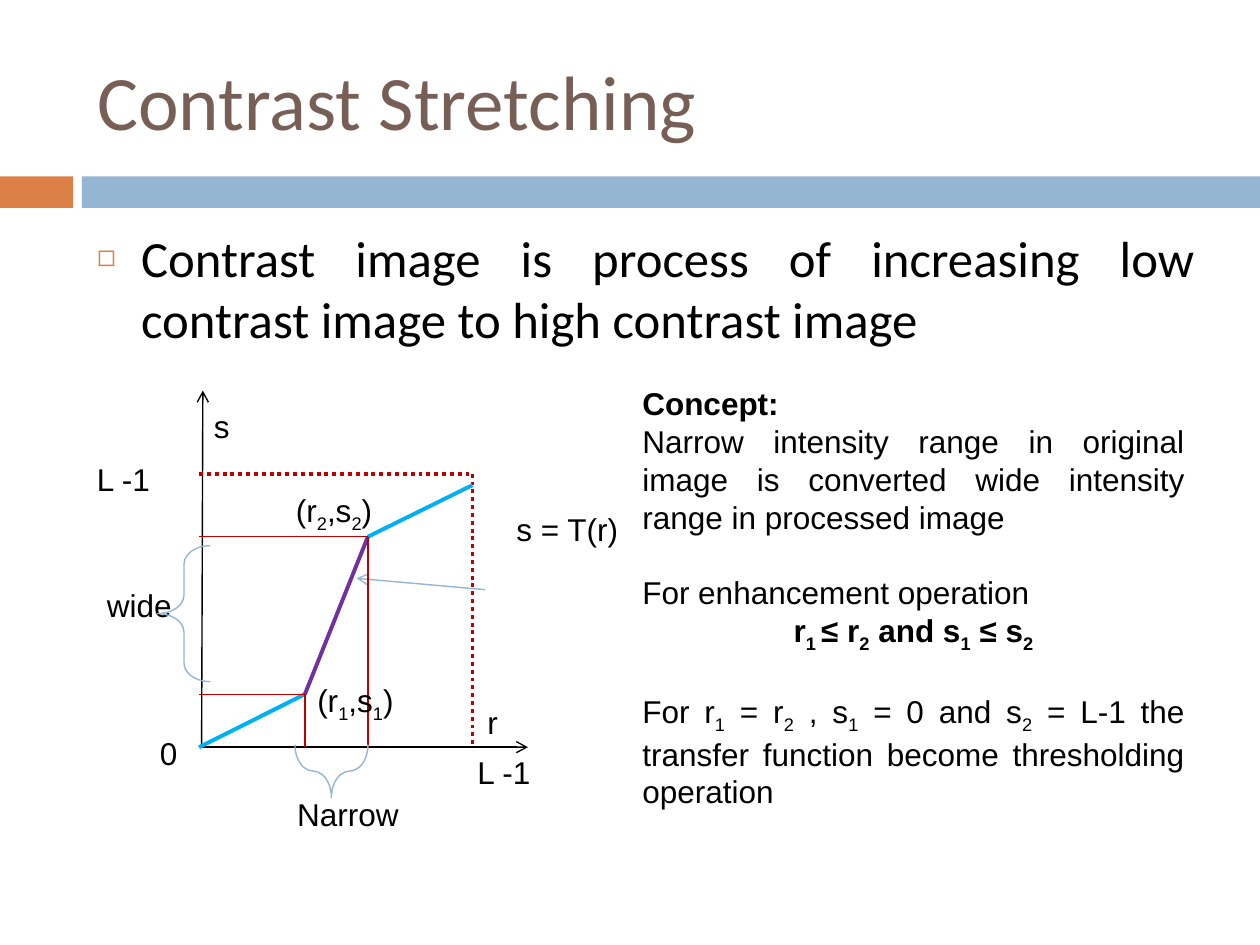
import pptx
import pptx.util
import pptx.dml.color
import pptx.enum.dml
import pptx.enum.shapes
import pptx.enum.text
import pptx.oxml
import pptx.oxml.ns
from pptx.util import Inches

RGBColor = pptx.dml.color.RGBColor
ALIGN = pptx.enum.text.PP_ALIGN
ANCHOR = pptx.enum.text.MSO_ANCHOR
AUTO_SIZE = pptx.enum.text.MSO_AUTO_SIZE
SHAPE = pptx.enum.shapes.MSO_SHAPE

BLACK = RGBColor(0x00, 0x00, 0x00)
BROWN = RGBColor(0x77, 0x5F, 0x55)
ORANGE = RGBColor(0xDD, 0x80, 0x47)
BLUE = RGBColor(0x94, 0xB6, 0xD2)
RED = RGBColor(0xC0, 0x00, 0x00)
CYAN = RGBColor(0x00, 0xB0, 0xF0)
PURPLE = RGBColor(0x70, 0x30, 0xA0)
THIN, THICK = 0.79, 2.25


def drawing_element(tag, **attributes):
    element = pptx.oxml.parse_xml(f"<a:{tag} {pptx.oxml.ns.nsdecls('a')}/>")
    for name, value in attributes.items():
        element.set(name, str(value))
    return element


class SlideBuilder:
    """Draws styled elements on the current slide."""

    heading_font = "Calibri"
    label_font = "Arial"
    label_size = 18

    def __init__(self, slide):
        self.slide = slide

    def place(self, shape, left, top, width, height):
        shape.left, shape.top = Inches(left), Inches(top)
        shape.width, shape.height = Inches(width), Inches(height)

    def span(self, para, text, font, size, color, bold=False, subscript=False):
        span = para.add_run()
        span.text = text
        span.font.name = font
        span.font.size = pptx.util.Pt(size)
        span.font.bold = bold
        span.font.color.rgb = color
        if subscript:
            span.font._element.set("baseline", "-25000")

    def title(self, text, *place):
        box = self.slide.shapes.title
        self.place(box, *place)
        box.text_frame.vertical_anchor = ANCHOR.MIDDLE
        para = box.text_frame.paragraphs[0]
        para.alignment = ALIGN.LEFT
        self.span(para, text, self.heading_font, 44, BROWN)

    def bullet(self, text, *place):
        box = self.slide.placeholders[1]
        self.place(box, *place)
        para = box.text_frame.paragraphs[0]
        para.alignment = ALIGN.JUSTIFY
        para.space_before = pptx.util.Pt(7)
        self.span(para, text, self.heading_font, 29, BLACK)
        properties = para._p.get_or_add_pPr()
        properties.set("marL", str(Inches(0.35)))
        properties.set("indent", str(Inches(-0.35)))
        bullet_color = drawing_element("buClr")
        bullet_color.append(drawing_element("srgbClr", val=ORANGE))
        properties.append(bullet_color)
        properties.append(drawing_element("buSzPct", val=60000))
        properties.append(drawing_element("buChar", char="◻"))

    def band(self, color, *place):
        band = self.slide.shapes.add_shape(SHAPE.RECTANGLE, *map(Inches, place))
        band.shadow.inherit = False
        band.fill.solid()
        band.fill.fore_color.rgb = color
        band.line.fill.background()

    def line(self, start, end, color, weight, dotted=False, arrow=False):
        line = self.slide.shapes.add_connector(
            pptx.enum.shapes.MSO_CONNECTOR.STRAIGHT, *map(Inches, start + end))
        line.line.color.rgb = color
        line.line.width = pptx.util.Pt(weight)
        if dotted:
            line.line.dash_style = pptx.enum.dml.MSO_LINE.ROUND_DOT
        properties = line._element.spPr
        if arrow:
            outline = properties.find(pptx.oxml.ns.qn("a:ln"))
            outline.append(drawing_element("tailEnd", type="arrow"))
        properties.append(drawing_element("effectLst"))

    def brace(self, rotation, *place):
        brace = self.slide.shapes.add_shape(SHAPE.RIGHT_BRACE, *map(Inches, place))
        brace.shadow.inherit = False
        brace.rotation = rotation
        brace.adjustments[0] = 0.35
        brace.fill.background()
        brace.line.color.rgb = BLUE
        brace.line.width = pptx.util.Pt(THIN)

    def text(self, paragraphs, *place):
        """Write (text, alignment, bold, gap) rows; odd parts between bars are subscripts."""
        box = self.slide.shapes.add_textbox(*map(Inches, place))
        frame = box.text_frame
        frame.word_wrap = True
        frame.auto_size = AUTO_SIZE.SHAPE_TO_FIT_TEXT
        for index, (text, alignment, bold, gap) in enumerate(paragraphs):
            para = frame.add_paragraph() if index else frame.paragraphs[0]
            para.alignment = alignment
            para.space_before = pptx.util.Pt(gap)
            for part, words in enumerate(text.split("|")):
                self.span(para, words, self.label_font, self.label_size, BLACK,
                          bold, part % 2 == 1)

    def label(self, text, *place):
        self.text([(text, ALIGN.LEFT, False, 0)], *place)


def main():
    deck = pptx.Presentation()
    deck.slide_width, deck.slide_height = Inches(10), Inches(7.5)
    page = SlideBuilder(deck.slides.add_slide(deck.slide_layouts[1]))

    page.band(ORANGE, 0, 1.4, 0.58, 0.25)
    page.band(BLUE, 0.65, 1.4, 9.35, 0.25)
    page.title("Contrast Stretching", 0.67, 0.25, 8.92, 1.08)
    page.bullet("Contrast image is process of increasing low contrast image "
                "to high contrast image", 0.67, 1.75, 8.92, 1.17)

    left, base, right, top = 1.58, 5.93, 3.75, 3.76
    low, high = (2.42, 5.51), (2.92, 4.26)
    page.line((1.6, base), (1.61, 3.1), BLACK, THIN, arrow=True)
    page.line((1.6, base), (4.19, base), BLACK, THIN, arrow=True)
    page.line((left, top), (right, top), RED, THICK, dotted=True)
    page.line((right, top), (right, base), RED, THICK, dotted=True)
    page.line((3.85, 4.68), (2.83, 4.59), BLUE, THIN, arrow=True)
    page.line(low, (left, base), CYAN, THICK)
    page.line((right, 3.85), high, CYAN, THICK)
    page.line(high, low, PURPLE, THICK)
    for x, y in (high, low):
        page.line((left, y), (x, y), RED, THIN)
        page.line((x, y), (x, base), RED, THIN)

    for text, *place in (
            ("s", 1.6, 3.18, 0.33, 0.4),
            ("L -1", 3.69, 5.93, 0.75, 0.4),
            ("s = T(r)", 4, 4, 1.08, 0.4),
            ("r", 3.77, 5.53, 0.33, 0.4),
            ("L -1", 0.67, 3.6, 0.75, 0.4),
            ("0", 1.17, 5.78, 0.33, 0.4),
            ("(r|1|,s|1|)", 2.42, 5.36, 1, 0.44),
            ("(r|2|,s|2|)", 2.25, 3.85, 1, 0.44),
            ("Narrow", 2.26, 6.26, 1.1, 0.4),
            ("wide", 0.75, 4.6, 0.8, 0.4)):
        page.label(text, *place)

    page.text([
        ("Concept:", ALIGN.JUSTIFY, True, 0),
        ("Narrow intensity range in original image is converted wide intensity "
         "range in processed image", ALIGN.JUSTIFY, False, 0),
        ("For enhancement operation", ALIGN.JUSTIFY, False, 21.6),
        ("r|1 |≤ r|2| and s|1| ≤ s|2", ALIGN.CENTER, True, 0),
        ("For r|1| = r|2| , s|1| = 0 and s|2| = L-1 the transfer function "
         "become thresholding operation", ALIGN.JUSTIFY, False, 21.6),
    ], 5, 3, 4.5, 3.48)

    page.brace(180, 1.25, 4.33, 0.42, 1.08)
    page.brace(90, 2.42, 5.83, 0.42, 0.58)

    deck.save("out.pptx")


if __name__ == "__main__":
    main()
